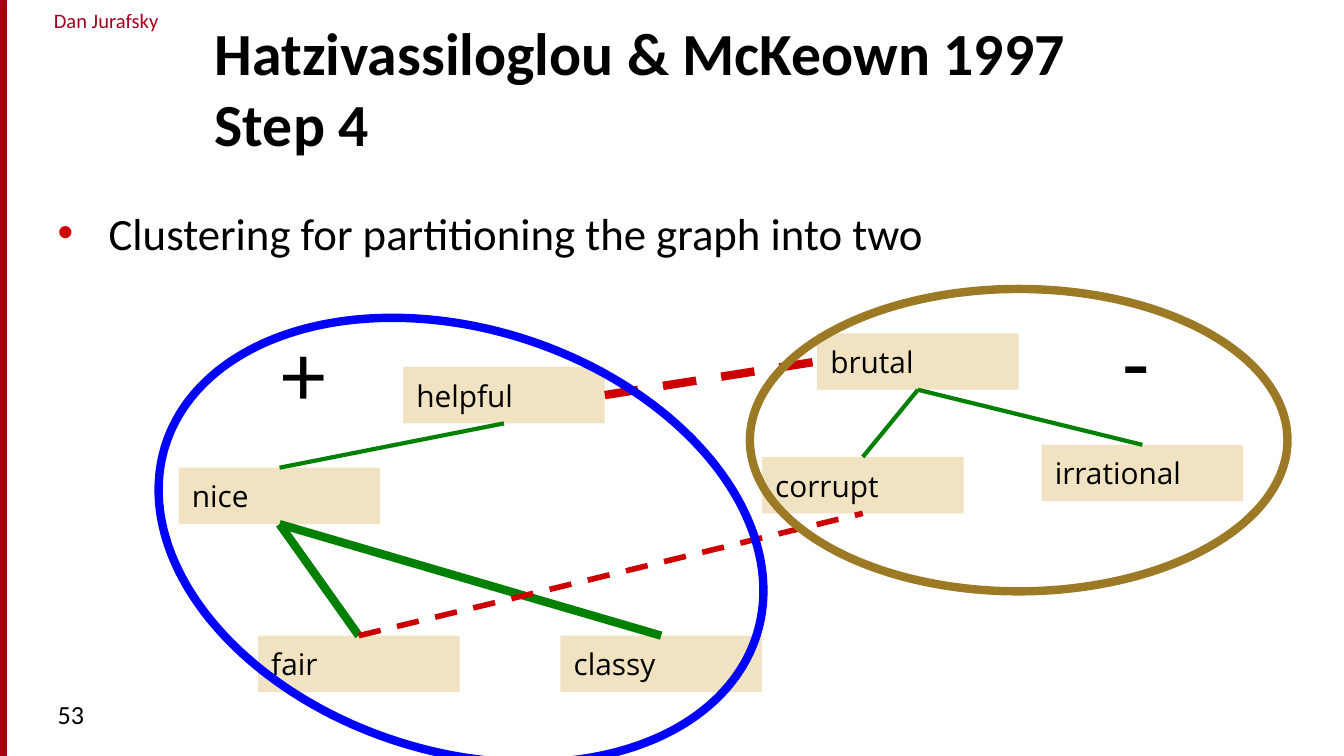
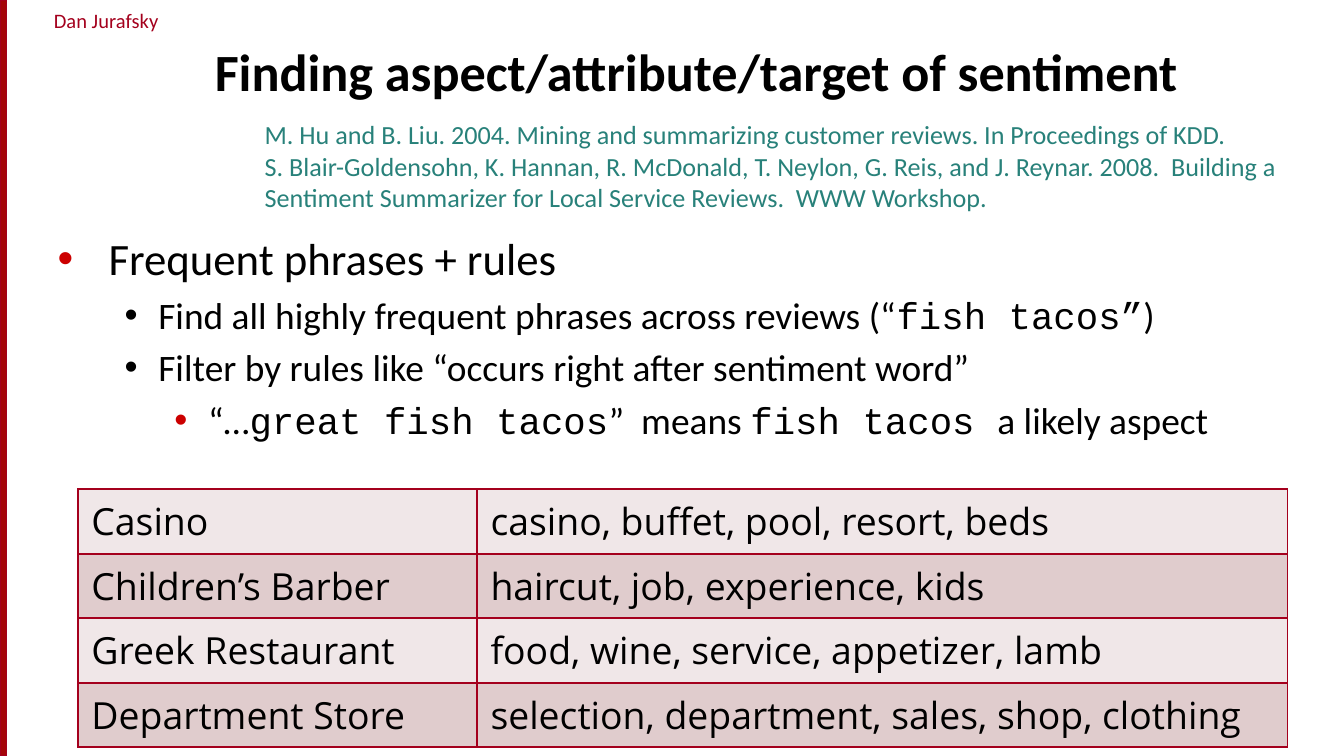
from lxml.etree import SubElement
from pptx import Presentation
from pptx.dml.color import RGBColor
from pptx.enum.dml import MSO_LINE
from pptx.enum.shapes import MSO_CONNECTOR, MSO_SHAPE
from pptx.enum.text import MSO_ANCHOR, PP_ALIGN
from pptx.oxml.ns import qn
from pptx.util import Inches, Pt

COLORS = {
    "black": "000000", "brand": "A4001D", "bar": "A40508", "red": "CC0000",
    "green": "008000", "blue": "0000FF", "gold": "9C7A25", "sand": "F1E3C2",
    "teal": "28817A", "light": "F0E7E8", "dark": "E0CCCD",
}
SANS, MONO, OPEN = "Calibri", "Courier New", "Open Sans"
LEVELS = [(0.38, 0.38, 24, "red"), (0.75, 0.25, 20, "black"), (1.12, 0.25, 20, "red")]
TOP, LEFT, BOTTOM, RIGHT = range(4)
WIDTH = 10
HEIGHT = WIDTH * 9 / 16


def color(name):
    return RGBColor.from_string(COLORS[name])


def style(runs, size, tint="black", face=SANS, bold=False):
    for run in runs:
        run.font.size = Pt(size)
        run.font.name = face
        run.font.bold = bold
        run.font.color.rgb = color(tint)


def paint(parent, tint):
    fill = SubElement(parent, qn("a:solidFill"))
    SubElement(fill, qn("a:srgbClr"), val=COLORS[tint])


class Deck:
    def __init__(self):
        self.prs = Presentation()
        self.prs.slide_width = Inches(WIDTH)
        self.prs.slide_height = Inches(HEIGHT)
        self.shapes = None

    def slide(self, title, top, height, size):
        layout = self.prs.slide_layouts[6]
        self.shapes = self.prs.slides.add_slide(layout).shapes
        frame = self.text("Dan Jurafsky", (0.08, 0.01, 1.42, 0.29), 11, "brand")
        frame.margin_left = frame.margin_right = 0
        frame.paragraphs[0].alignment = PP_ALIGN.CENTER
        self.shape(MSO_SHAPE.RECTANGLE, (0, 0, 0.05, HEIGHT), "bar", "brand", 0.75)
        frame = self.text(title, (1.5, top, 8.17, height), size, bold=True)
        frame.vertical_anchor = MSO_ANCHOR.BOTTOM

    def text(self, words, box, size, tint="black", bold=False):
        frame = self.shapes.add_textbox(*map(Inches, box)).text_frame
        frame.word_wrap = True
        frame.text = words
        for para in frame.paragraphs:
            style(para.runs, size, tint, bold=bold)
        return frame

    def shape(self, kind, box, fill=None, line=None, weight=0):
        shape = self.shapes.add_shape(kind, *map(Inches, box))
        shape.shadow.inherit = False
        if fill:
            shape.fill.solid()
            shape.fill.fore_color.rgb = color(fill)
        else:
            shape.fill.background()
        if line:
            shape.line.color.rgb = color(line)
            shape.line.width = Pt(weight)
        else:
            shape.line.fill.background()
        return shape

    def node(self, word, left, top):
        shape = self.shape(MSO_SHAPE.RECTANGLE, (left, top, 1.5, 0.42), "sand")
        frame = shape.text_frame
        frame.text = word
        frame.vertical_anchor = MSO_ANCHOR.MIDDLE
        frame.paragraphs[0].alignment = PP_ALIGN.LEFT
        style(frame.paragraphs[0].runs, 16, face=OPEN)
        return shape

    def link(self, start, side, end, other, tint, weight):
        line = self.shapes.add_connector(MSO_CONNECTOR.STRAIGHT, 0, 0, 0, 0)
        line.begin_connect(start, side)
        line.end_connect(end, other)
        line.line.color.rgb = color(tint)
        line.line.width = Pt(weight)
        if tint == "red":
            line.line.dash_style = MSO_LINE.DASH
        SubElement(line._element.spPr, qn("a:effectLst"))

    def ring(self, box, tint, turn=0):
        self.shape(MSO_SHAPE.OVAL, box, line=tint, weight=4.5).rotation = turn

    def bullets(self, top, items):
        box = self.shapes.add_textbox(*map(Inches, (0.33, top, 9.33, 3.65)))
        frame = box.text_frame
        frame.word_wrap = True
        for i, (level, words) in enumerate(items):
            para = frame.add_paragraph() if i else frame.paragraphs[0]
            para.level = level
            left, hang, size, tint = LEVELS[level]
            for j, part in enumerate(words.split("|")):
                run = para.add_run()
                run.text = part
                style([run], size, face=MONO if j % 2 else SANS)
            props = para._p.get_or_add_pPr()
            props.set("marL", str(Inches(left)))
            props.set("indent", str(-Inches(hang)))
            space = SubElement(props, qn("a:spcBef"))
            SubElement(space, qn("a:spcPct"), val="20000")
            tone = SubElement(props, qn("a:buClr"))
            SubElement(tone, qn("a:srgbClr"), val=COLORS[tint])
            SubElement(props, qn("a:buFont"), typeface="Arial")
            SubElement(props, qn("a:buChar"), char="•")

    def table(self, rows, box, widths):
        table = self.shapes.add_table(len(rows), len(widths), *map(Inches, box)).table
        table.first_row = False
        for col, width in zip(table.columns, widths):
            col.width = Inches(width)
        for r, row in enumerate(rows):
            for c, words in enumerate(row):
                cell = table.cell(r, c)
                cell.text = words
                style(cell.text_frame.paragraphs[0].runs, 20, face=OPEN)
                props = cell._tc.get_or_add_tcPr()
                for edge in ("lnL", "lnR", "lnT", "lnB"):
                    paint(SubElement(props, qn("a:" + edge), w=str(Pt(1))), "brand")
                cell.fill.solid()
                cell.fill.fore_color.rgb = color("dark" if r % 2 else "light")


def cluster(deck):
    deck.slide("Hatzivassiloglou & McKeown 1997\vStep 4", 0.42, 0.81, 32)
    deck.bullets(1.48, [(0, "Clustering for partitioning the graph into two")])
    deck.text("53", (0.33, 5.15, 2.17, 0.38), 14)
    spots = {
        "classy": (4.17, 4.73), "nice": (1.33, 3.48), "helpful": (3, 2.73),
        "fair": (1.92, 4.73), "brutal": (6.08, 2.48),
        "irrational": (7.75, 3.31), "corrupt": (5.67, 3.4),
    }
    nodes = {word: deck.node(word, *spot) for word, spot in spots.items()}
    links = [
        ("brutal", BOTTOM, "corrupt", TOP, "green", 2.25),
        ("nice", BOTTOM, "classy", TOP, "green", 4.5),
        ("nice", BOTTOM, "fair", TOP, "green", 4.5),
        ("fair", TOP, "corrupt", BOTTOM, "red", 3),
        ("irrational", TOP, "brutal", BOTTOM, "green", 2.25),
        ("helpful", BOTTOM, "nice", TOP, "green", 2.25),
        ("helpful", RIGHT, "brutal", LEFT, "red", 4.5),
    ]
    for start, side, end, other, tint, weight in links:
        deck.link(nodes[start], side, nodes[end], other, tint, weight)
    deck.ring((1.12, 2.45, 4.62, 3.14), "blue", 18)
    deck.ring((5.58, 2.15, 4, 2.25), "gold")
    deck.text("+", (2, 2.31, 0.54, 0.91), 48)
    deck.text("-", (8.25, 2.23, 0.41, 0.91), 48)


def aspects(deck):
    deck.slide("Finding aspect/attribute/target of sentiment", 0.23, 0.58, 28)
    deck.bullets(1.67, [
        (0, "Frequent phrases + rules"),
        (1, "Find all highly frequent phrases across reviews (“|fish tacos”|)"),
        (1, "Filter by rules like “occurs right after sentiment word”"),
        (2, "“…|great fish tacos|”  means |fish tacos |a likely aspect"),
    ])
    deck.table([
        ("Casino", "casino, buffet, pool, resort, beds"),
        ("Children’s Barber", "haircut, job, experience, kids"),
        ("Greek Restaurant", "food, wine, service, appetizer, lamb"),
        ("Department Store", "selection, department, sales, shop, clothing"),
    ], (0.58, 3.64, 9, 1.92), (2.97, 6.03))
    papers = deck.text(
        "M. Hu and B. Liu. 2004. Mining and summarizing customer reviews. "
        "In Proceedings of KDD.\n"
        "S. Blair-Goldensohn, K. Hannan, R. McDonald, T. Neylon, G. Reis, and "
        "J. Reynar. 2008.  Building a Sentiment Summarizer for Local Service "
        "Reviews.  WWW Workshop.", (1.87, 0.81, 7.88, 0.83), 14, "teal")
    papers.paragraphs[0].line_spacing = 1.1


def main():
    deck = Deck()
    cluster(deck)
    aspects(deck)
    deck.prs.save("out.pptx")


if __name__ == "__main__":
    main()
